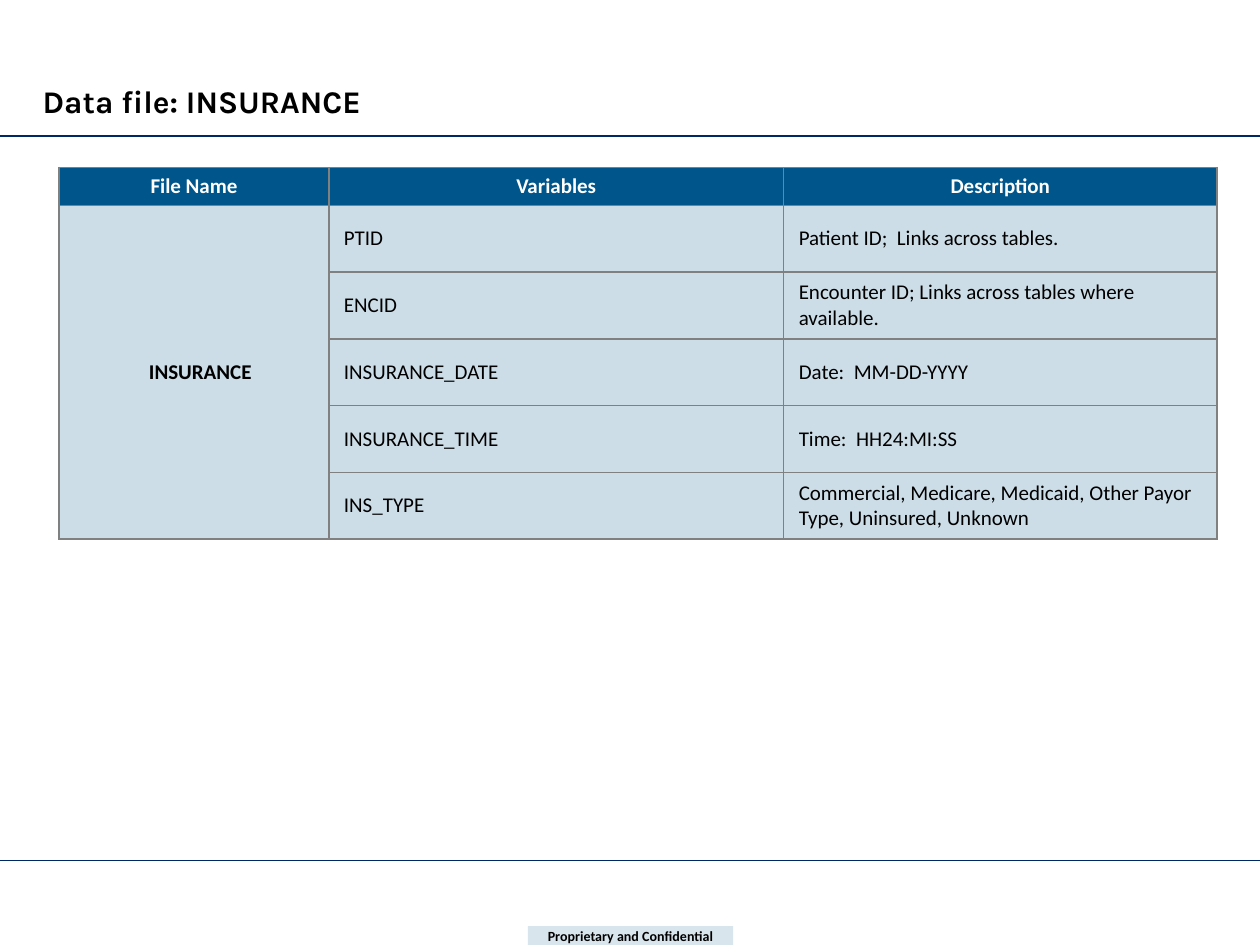
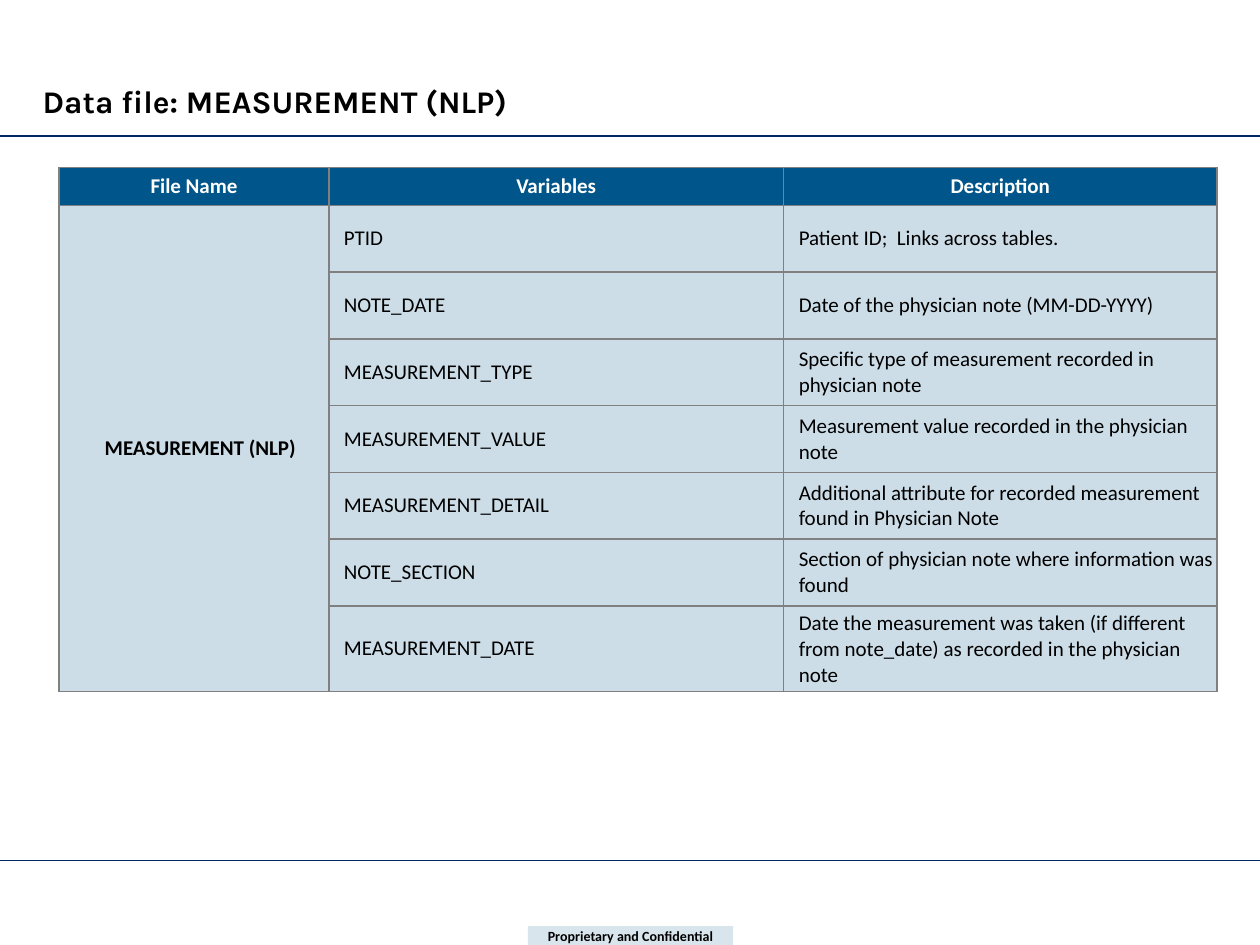
from lxml import etree
from pptx import Presentation
from pptx.dml.color import RGBColor
from pptx.enum.shapes import MSO_CONNECTOR, MSO_SHAPE
from pptx.enum.text import MSO_ANCHOR, PP_ALIGN
from pptx.oxml.ns import qn
from pptx.util import Inches, Pt

STRAIGHT = MSO_CONNECTOR.STRAIGHT
RECTANGLE = MSO_SHAPE.RECTANGLE
MIDDLE, BOTTOM = MSO_ANCHOR.MIDDLE, MSO_ANCHOR.BOTTOM
LEFT, CENTER = PP_ALIGN.LEFT, PP_ALIGN.CENTER

NAVY = RGBColor(0x00, 0x28, 0x64)
BLUE = RGBColor(0x00, 0x55, 0x8A)
GRAY = RGBColor(0x80, 0x80, 0x80)
BLACK = RGBColor(0x00, 0x00, 0x00)
WHITE = RGBColor(0xFF, 0xFF, 0xFF)

HEADINGS = ["File Name", "Variables", "Description"]
COLUMN_WIDTHS = [2.14, 3.61, 3.44]
HEADER_HEIGHT, ROW_HEIGHT = 0.3, 0.53
NO_MARGINS = (0, 0, 0, 0)
FILE_MARGINS = (0.1, 0, 0, 0)

DATA_FILES = [
    ("INSURANCE", (0.12, 0, 0, 0), [
        ("PTID", "Patient ID;  Links across tables."),
        ("ENCID", "Encounter ID; Links across tables where available."),
        ("INSURANCE_DATE", "Date:  MM-DD-YYYY"),
        ("INSURANCE_TIME", "Time:  HH24:MI:SS"),
        ("INS_TYPE", "Commercial, Medicare, Medicaid, Other Payor Type, Uninsured, Unknown"),
    ]),
    ("MEASUREMENT (NLP)", (0.12, 0.04, 0.01, 0.04), [
        ("PTID", "Patient ID;  Links across tables."),
        ("NOTE_DATE", "Date of the physician note (MM-DD-YYYY)"),
        ("MEASUREMENT_TYPE", "Specific type of measurement recorded in physician note"),
        ("MEASUREMENT_VALUE", "Measurement value recorded in the physician note"),
        ("MEASUREMENT_DETAIL", "Additional attribute for recorded measurement found in Physician Note"),
        ("NOTE_SECTION", "Section of physician note where information was found"),
        ("MEASUREMENT_DATE", "Date the measurement was taken (if different from note_date) "
                             "as recorded in the physician note"),
    ]),
]


def fill_blue(fill, opacity):
    fill.solid()
    fill.fore_color.rgb = BLUE
    if opacity < 100:
        color = fill._xPr.find(qn("a:solidFill"))[0]
        etree.SubElement(color, qn("a:alpha"), val=str(opacity * 1000))


def write(frame, text, font_name, size, color, bold, align):
    frame.text = text
    paragraph = frame.paragraphs[0]
    paragraph.alignment = align
    paragraph.font.name = font_name
    paragraph.font.size = Pt(size)
    paragraph.font.color.rgb = color
    paragraph.font.bold = bold


deck = Presentation()
deck.slide_width, deck.slide_height = Inches(10), Inches(7.5)

for file_name, body_margins, variables in DATA_FILES:
    page = deck.slides.add_slide(deck.slide_layouts[6])

    for y in (6.83, 1.08):
        rule = page.shapes.add_connector(STRAIGHT, 0, Inches(y), Inches(10), Inches(y))
        rule.line.color.rgb = NAVY
        rule.line.width = Pt(0.75)
        etree.SubElement(rule._element.spPr, qn("a:effectLst"))

    footer = page.shapes.add_shape(
        RECTANGLE, Inches(4.19), Inches(7.35), Inches(1.63), Inches(0.15))
    footer.shadow.inherit = False
    footer.line.fill.background()
    fill_blue(footer.fill, 15)
    frame = footer.text_frame
    frame.margin_left = frame.margin_right = Inches(0.01)
    frame.margin_top = frame.margin_bottom = Inches(0.01)
    frame.vertical_anchor = MIDDLE
    write(frame, "Proprietary and Confidential", "Calibri", 8, BLACK, True, CENTER)

    title = page.shapes.add_textbox(Inches(0.24), Inches(0.6), Inches(9.5), Inches(0.4))
    title.text_frame.word_wrap = True
    title.text_frame.vertical_anchor = BOTTOM
    write(title.text_frame, f"Data file: {file_name}", "Karla", 18, BLACK, True, LEFT)

    row_count = len(variables) + 1
    table = page.shapes.add_table(
        row_count, 3, Inches(0.47), Inches(1.33), Inches(sum(COLUMN_WIDTHS)),
        Inches(HEADER_HEIGHT + ROW_HEIGHT * len(variables))).table
    for column, width in zip(table.columns, COLUMN_WIDTHS):
        column.width = Inches(width)
    for row in table.rows:
        row.height = Inches(ROW_HEIGHT)
    table.rows[0].height = Inches(HEADER_HEIGHT)
    table.cell(1, 0).merge(table.cell(row_count - 1, 0))

    rows = [HEADINGS] + [("", *variable) for variable in variables]
    rows[1] = (file_name, *variables[0])
    for row_index, texts in enumerate(rows):
        for column_index, text in enumerate(texts):
            cell = table.cell(row_index, column_index)
            is_header = row_index == 0
            is_label = is_header or column_index == 0
            margins = NO_MARGINS if is_header else FILE_MARGINS if is_label else body_margins
            (cell.margin_left, cell.margin_top,
             cell.margin_right, cell.margin_bottom) = map(Inches, margins)
            cell.vertical_anchor = MIDDLE
            for side in ("lnL", "lnR", "lnT", "lnB"):
                border = etree.SubElement(cell._tc.tcPr, qn(f"a:{side}"), w=str(Pt(1)))
                paint = etree.SubElement(border, qn("a:solidFill"))
                etree.SubElement(paint, qn("a:srgbClr"), val=str(GRAY))
            fill_blue(cell.fill, 100 if is_header else 20)
            if text:
                write(cell.text_frame, text, "Calibri", 12, WHITE if is_header else BLACK,
                      is_label, CENTER if is_label else LEFT)

deck.save("out.pptx")
